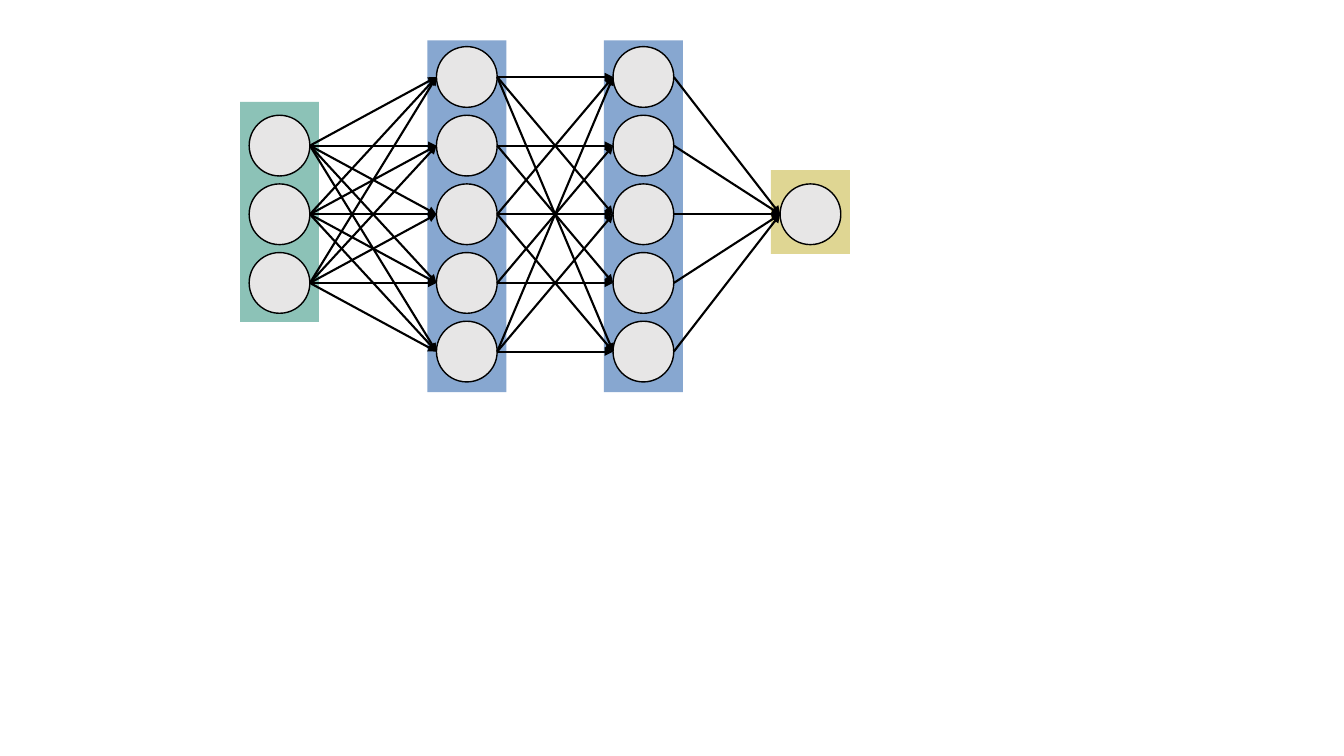
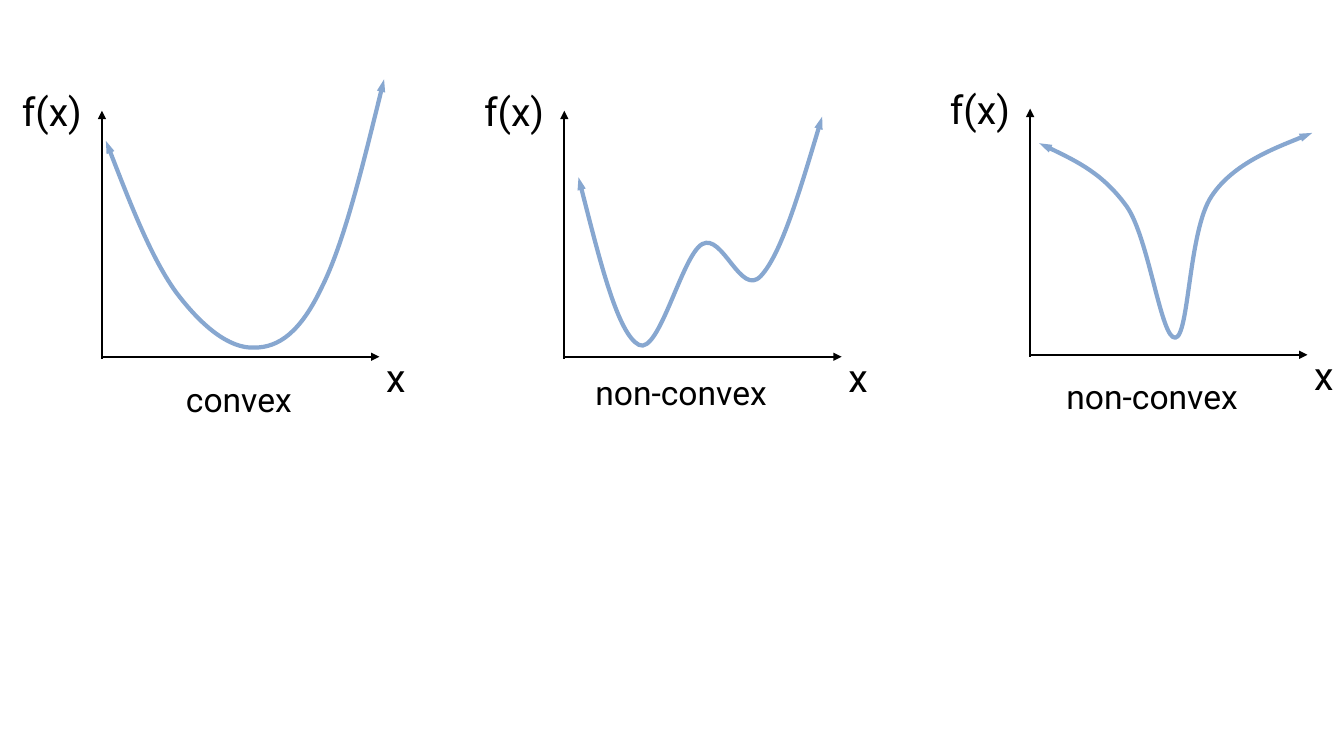
"""Build two diagram slides: a neural network, and convex versus non-convex curves."""
from itertools import product

from lxml import etree
from pptx import Presentation
from pptx.dml.color import RGBColor
from pptx.enum.shapes import MSO_CONNECTOR, MSO_SHAPE
from pptx.enum.text import MSO_AUTO_SIZE, PP_ALIGN
from pptx.oxml.ns import qn
from pptx.util import Cm, Pt

RECTANGLE, OVAL = MSO_SHAPE.RECTANGLE, MSO_SHAPE.OVAL
STRAIGHT = MSO_CONNECTOR.STRAIGHT
LEFT, CENTER = PP_ALIGN.LEFT, PP_ALIGN.CENTER
GROW = MSO_AUTO_SIZE.SHAPE_TO_FIT_TEXT

FONT = "Roboto"
COLORS = {
    "ink": "000000",
    "node": "E7E6E6",
    "input": "8CC2B7",
    "blue": "87A7D0",
    "output": "DFD693",
}

NODE = 1.53
PITCH = 1.73
BAND_WIDTH = 1.99
MIDDLE = 5.4

# (node count, colour, band left, band top, band height)
LAYERS = [
    (3, "input", 6.05, 2.57, 5.54),
    (5, "blue", 10.77, 1.02, 8.86),
    (5, "blue", 15.22, 1.02, 8.86),
    (1, "output", 19.43, 4.29, 2.11),
]

# Curve points are (right of, above) the axis origin: a start, then cubic triples.
PLOTS = [
    {
        "origin": (2.57, 8.99),
        "caption": ("convex", 1.42, 0.43, 4.06),
        "curve": [
            (0.1, 5.44), (0.66, 3.99), (1.24, 2.51), (1.85, 1.65),
            (2.49, 0.79), (3.2, 0.2), (3.84, 0.23),
            (4.45, 0.23), (5, 0.61), (5.54, 1.75),
            (6.1, 2.87), (6.6, 4.93), (7.11, 6.99),
        ],
    },
    {
        "origin": (14.22, 8.99),
        "caption": ("non-convex", 0, 0.25, 5.89),
        "curve": [
            (0.36, 4.52), (0.86, 2.57), (1.35, 0.58), (1.88, 0.3),
            (2.39, 0.03), (2.97, 2.57), (3.48, 2.84),
            (3.99, 3.12), (4.45, 1.5), (4.95, 2.03),
            (5.46, 2.57), (5.97, 4.29), (6.5, 6.05),
        ],
    },
    {
        "origin": (25.96, 8.94),
        "caption": ("non-convex", 0.13, 0.41, 5.89),
        "curve": [
            (0.23, 5.33), (1.04, 4.95), (1.85, 4.55), (2.44, 3.73),
            (3, 2.92), (3.3, 0.38), (3.66, 0.43),
            (4.01, 0.46), (3.99, 3.12), (4.57, 3.99),
            (5.13, 4.85), (7.11, 5.59), (7.11, 5.59),
        ],
    },
]


def rgb(name):
    """Return the named colour."""
    return RGBColor.from_string(COLORS[name])


def style_line(line, color, width):
    """Give a line its colour and its width in points."""
    line.color.rgb = rgb(color)
    line.width = Pt(width)


def add_arrowhead(line, end, width="med"):
    """Put a triangle on the headEnd or tailEnd of a styled line."""
    ln = line._get_or_add_ln()
    etree.SubElement(ln, qn(f"a:{end}"), type="triangle", w=width, len="med")


def add_block(slide, kind, left, top, width, height, fill):
    """Add a filled shape without outline or shadow."""
    sp = slide.shapes.add_shape(kind, Cm(left), Cm(top), Cm(width), Cm(height))
    sp.shadow.inherit = False
    sp.fill.solid()
    sp.fill.fore_color.rgb = rgb(fill)
    sp.line.fill.background()
    return sp


def add_arrow(slide, start, end, width):
    """Add a straight black arrow between two points."""
    cxn = slide.shapes.add_connector(STRAIGHT, *(Cm(v) for v in (*start, *end)))
    style_line(cxn.line, "ink", width)
    add_arrowhead(cxn.line, "tailEnd")
    etree.SubElement(cxn._element.spPr, qn("a:effectLst"))


def add_label(slide, text, left, top, width, height, size, align=LEFT):
    """Add a one-line text box."""
    sp = slide.shapes.add_textbox(Cm(left), Cm(top), Cm(width), Cm(height))
    tf = sp.text_frame
    tf.word_wrap = True
    tf.auto_size = GROW
    tf.text = text
    p = tf.paragraphs[0]
    p.alignment = align
    font = p.runs[0].font
    font.name, font.size, font.color.rgb = FONT, Pt(size), rgb("ink")


def add_curve(slide, points):
    """Add a smooth double-headed curve through cubic Bezier points."""
    start, *rest = [(Cm(x), Cm(y)) for x, y in points]
    builder = slide.shapes.build_freeform(*start)
    builder.add_line_segments(rest, close=False)
    sp = builder.convert_to_shape()
    segments = list(sp._element.iter(qn("a:lnTo")))
    for i in range(0, len(segments), 3):
        cubic = etree.Element(qn("a:cubicBezTo"))
        segments[i].addprevious(cubic)
        for segment in segments[i:i + 3]:
            cubic.append(segment[0])
            segment.getparent().remove(segment)
    sp.shadow.inherit = False
    sp.fill.background()
    style_line(sp.line, "blue", 3)
    for end in ("headEnd", "tailEnd"):
        add_arrowhead(sp.line, end, "sm")


def add_layer(slide, count, color, left, top, height):
    """Add a band with its nodes and return the node left edge and centre heights."""
    add_block(slide, RECTANGLE, left, top, BAND_WIDTH, height, color)
    x = left + (BAND_WIDTH - NODE) / 2
    centers = [MIDDLE + (i - (count - 1) / 2) * PITCH for i in range(count)]
    for y in centers:
        sp = add_block(slide, OVAL, x, y - NODE / 2, NODE, NODE, "node")
        style_line(sp.line, "ink", 1)
    return x, centers


def link_layers(slide, source, target, step=1):
    """Link nodes whose positions differ by a multiple of step."""
    (x1, starts), (x2, ends) = source, target
    for (i, y1), (j, y2) in product(enumerate(starts), enumerate(ends)):
        if (i - j) % step == 0:
            add_arrow(slide, (x1 + NODE, y1), (x2, y2), 1.5)


def add_plot(slide, origin, caption, curve):
    """Add axes, axis labels, a curve and its caption."""
    x, y = origin
    add_arrow(slide, (x, y), (x + 6.99, y), 1.75)
    add_arrow(slide, (x, y + 0.05), (x, y - 6.2), 1.75)
    add_label(slide, "x", x + 6.91, y - 0.2, 0.99, 1.45, 28)
    add_label(slide, "f(x)", x - 2.27, y - 6.91, 2.29, 1.45, 28)
    add_curve(slide, [(x + right, y - up) for right, up in curve])
    text, dx, dy, width = caption
    add_label(slide, text, x + dx, y + dy, width, 1.27, 24, CENTER)


def build_network(slide):
    """Draw the layers of the network and their links."""
    first, second, third, last = [add_layer(slide, *layer) for layer in LAYERS]
    link_layers(slide, first, second)
    link_layers(slide, second, third, step=2)
    link_layers(slide, third, last)


def build_plots(slide):
    """Draw the three function plots."""
    for plot in PLOTS:
        add_plot(slide, **plot)


def main():
    """Build and save the presentation."""
    prs = Presentation()
    prs.slide_width, prs.slide_height = Cm(33.87), Cm(19.05)
    blank = prs.slide_layouts[6]
    for build in (build_network, build_plots):
        build(prs.slides.add_slide(blank))
    prs.save("out.pptx")


if __name__ == "__main__":
    main()
